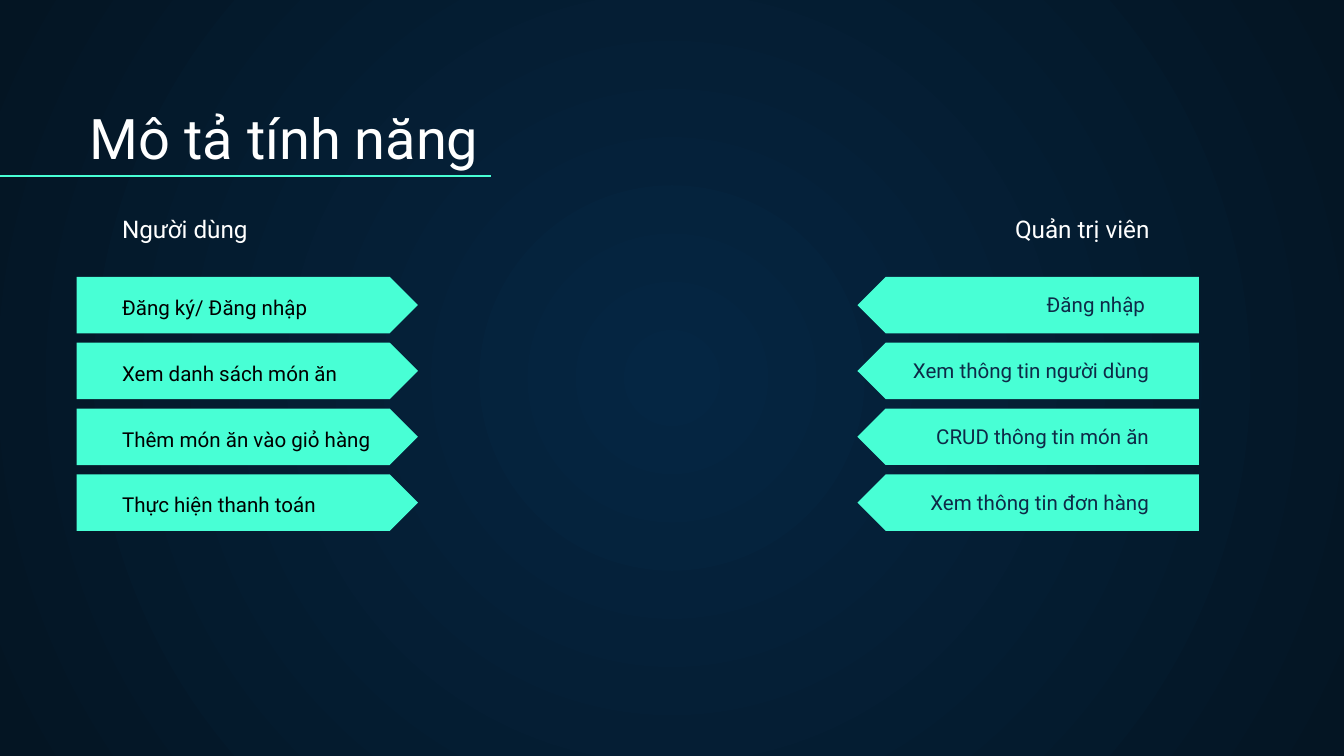
from lxml import etree
from pptx import Presentation
from pptx.dml.color import RGBColor
from pptx.enum.shapes import MSO_CONNECTOR, MSO_SHAPE
from pptx.enum.text import MSO_ANCHOR, PP_ALIGN
from pptx.oxml.ns import qn
from pptx.util import Inches, Pt

LEFT, RIGHT = PP_ALIGN.LEFT, PP_ALIGN.RIGHT
BOTTOM = MSO_ANCHOR.BOTTOM
PENTAGON = MSO_SHAPE.PENTAGON
STRAIGHT = MSO_CONNECTOR.STRAIGHT

MINT, WHITE, BLACK, NAVY = "48FFD5", "FFFFFF", "000000", "0E2A47"
FIRST_TOP, ROW_STEP = 2.06, 0.49


def color(hex_string):
    return RGBColor.from_string(hex_string)


def add_text(text, left, top, width=2.27, height=0.21, size=11,
             font_color=WHITE, align=LEFT):
    box = slide.shapes.add_textbox(
        Inches(left), Inches(top), Inches(width), Inches(height))
    frame = box.text_frame
    frame.word_wrap = True
    frame.vertical_anchor = BOTTOM
    frame.margin_left = frame.margin_right = Inches(0.1)
    frame.margin_top = frame.margin_bottom = Inches(0.1)
    paragraph = frame.paragraphs[0]
    paragraph.text = text
    paragraph.alignment = align
    paragraph.font.name = "Roboto"
    paragraph.font.size = Pt(size)
    paragraph.font.color.rgb = color(font_color)


presentation = Presentation()
presentation.slide_width = Inches(10)
presentation.slide_height = Inches(10 * 9 / 16)
slide = presentation.slides.add_slide(presentation.slide_layouts[6])

# Background: radial gradient from the centre
background = slide.background.fill
background.gradient()
for stop, hex_string in zip(background.gradient_stops, ("052643", "041523")):
    stop.color.rgb = color(hex_string)
gradient = next(slide.element.iter(qn("a:gradFill")))
linear = gradient.find(qn("a:lin"))
radial = etree.Element(qn("a:path"), {"path": "circle"})
etree.SubElement(radial, qn("a:fillToRect"),
                 {side: "50000" for side in ("l", "t", "r", "b")})
gradient.replace(linear, radial)

# Title and underline
add_text("Mô tả tính năng", 0.57, 0.71, width=9.09, height=0.66, size=30)
underline = slide.shapes.add_connector(
    STRAIGHT, Inches(0), Inches(1.31), Inches(3.65), Inches(1.31))
underline.line.color.rgb = color(MINT)
underline.line.width = Pt(0.75)
etree.SubElement(underline.element.spPr, qn("a:effectLst"))

# Feature columns: heading, arrow left, rotation, text left, text offset,
# text colour, alignment, features with their indent from the text left
columns = [
    ("Người dùng", 0.57, 0, 0.81, 0.2, BLACK, LEFT,
     [("Đăng ký/ Đăng nhập", 0), ("Xem danh sách món ăn", 0),
      ("Thêm món ăn vào giỏ hàng", 0), ("Thực hiện thanh toán", 0)]),
    ("Quản trị viên", 6.38, 180, 6.38, 0.18, NAVY, RIGHT,
     [("Đăng nhập", -0.03), ("Xem thông tin người dùng", 0),
      ("CRUD thông tin món ăn", 0), ("Xem thông tin đơn hàng", 0)]),
]
for (heading, arrow_left, rotation, text_left, text_offset,
     text_color, align, features) in columns:
    add_text(heading, text_left, 1.7, size=13, align=align)
    for row, (feature, indent) in enumerate(features):
        top = FIRST_TOP + row * ROW_STEP
        arrow = slide.shapes.add_shape(
            PENTAGON, Inches(arrow_left), Inches(top), Inches(2.54), Inches(0.42))
        arrow.rotation = rotation
        arrow.shadow.inherit = False
        arrow.fill.solid()
        arrow.fill.fore_color.rgb = color(MINT)
        arrow.line.fill.background()
        add_text(feature, text_left + indent, top + text_offset,
                 font_color=text_color, align=align)

presentation.save("out.pptx")
